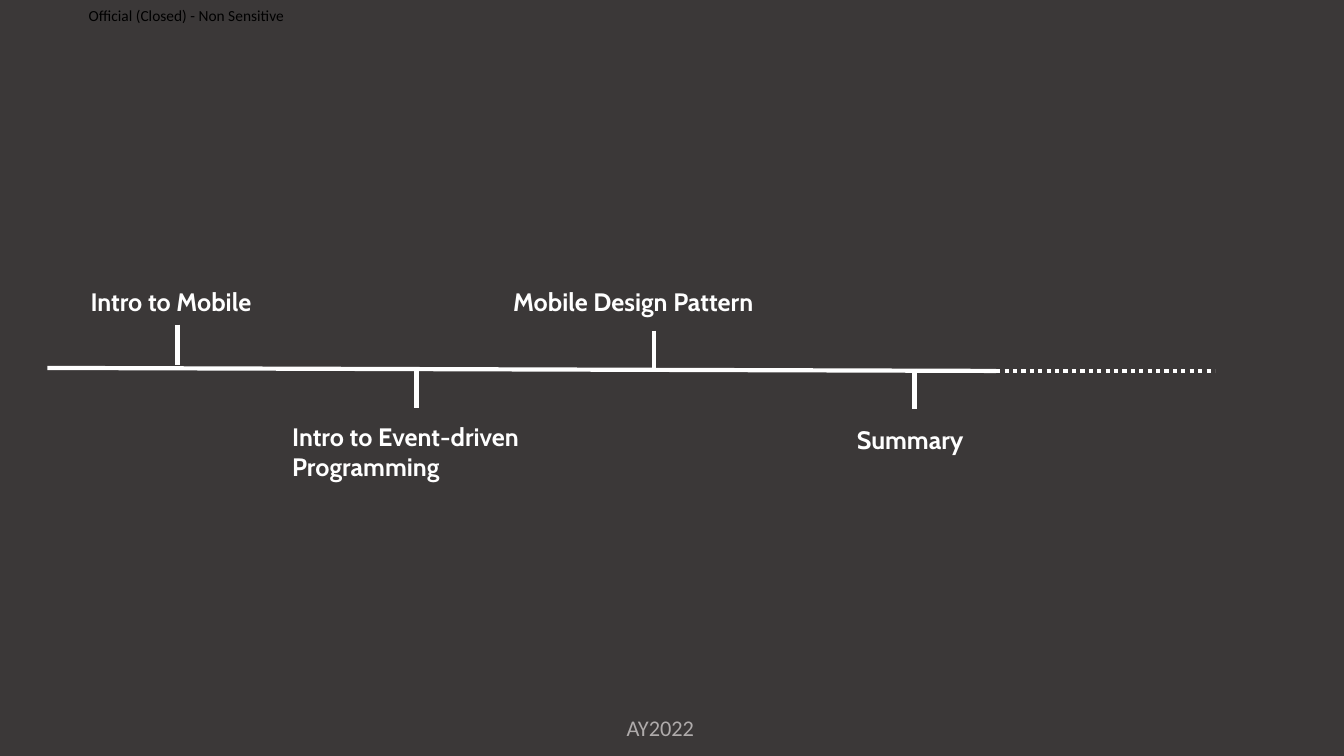
from pptx import Presentation
from pptx.dml.color import RGBColor
from pptx.enum.dml import MSO_LINE
from pptx.enum.shapes import MSO_CONNECTOR
from pptx.enum.text import MSO_ANCHOR, PP_ALIGN
from pptx.oxml.ns import qn
from pptx.util import Inches, Pt
from lxml import etree

DARK = RGBColor(0x3B, 0x38, 0x38)
WHITE = RGBColor(0xFF, 0xFF, 0xFF)
BLACK = RGBColor(0x00, 0x00, 0x00)
GRAY = RGBColor(0xAF, 0xAB, 0xAB)

STRAIGHT = MSO_CONNECTOR.STRAIGHT
DOTTED = MSO_LINE.ROUND_DOT
LEFT, CENTER = PP_ALIGN.LEFT, PP_ALIGN.CENTER
MIDDLE = MSO_ANCHOR.MIDDLE

TICK = 0.4

# label, (left, top, width, height), tick x, tick top
MILESTONES = [
    ("Intro to Mobile", (0.8, 2.79, 2.14, 0.4), 1.76, 3.22),
    ("Intro to Event-driven Programming", (2.8, 4.13, 2.67, 0.71), 4.13, 3.65),
    ("Mobile Design Pattern", (4.99, 2.79, 2.99, 0.4), 6.49, 3.28),
    ("Summary", (8.4, 4.16, 1.34, 0.4), 9.07, 3.66),
]


def add_text(slide, text, box, size, font, color, bold=False, align=LEFT):
    """Add a one-paragraph text box and return its text frame."""
    sp = slide.shapes.add_textbox(*map(Inches, box))
    tf = sp.text_frame
    tf.word_wrap = True
    tf.text = text
    p = tf.paragraphs[0]
    p.alignment = align
    r = p.runs[0]
    r.font.size = Pt(size)
    r.font.name = font
    r.font.bold = bold
    r.font.color.rgb = color
    return tf


def add_line(slide, start, end, dash=None):
    """Add a white line between two points."""
    line = slide.shapes.add_connector(STRAIGHT, *map(Inches, start + end))
    line.line.color.rgb = WHITE
    line.line.width = Pt(3)
    if dash is not None:
        line.line.dash_style = dash
    etree.SubElement(line._element.spPr, qn("a:effectLst"))


def add_milestone(slide, label, box, x, top):
    """Add a milestone label with its tick on the timeline."""
    add_line(slide, (x, top), (x, top + TICK))
    add_text(slide, label, box, 18, "Cabin", WHITE, bold=True)


def add_header(slide, text):
    """Add the classification marking at the top edge."""
    tf = add_text(slide, text, (0.88, 0, 2.13, 0.31), 11, "Calibri", BLACK)
    tf.margin_left = tf.margin_right = tf.margin_top = tf.margin_bottom = 0
    tf.vertical_anchor = MIDDLE


def main():
    """Build the timeline slide."""
    prs = Presentation()
    prs.slide_width = Inches(13.33)
    prs.slide_height = Inches(7.5)
    slide = prs.slides.add_slide(prs.slide_layouts[6])
    fill = slide.background.fill
    fill.solid()
    fill.fore_color.rgb = DARK

    add_text(slide, "AY2022", (6.11, 7.04, 0.88, 0.37), 16, "Calibri", GRAY,
             align=CENTER)
    add_header(slide, "Official (Closed) - Non Sensitive")

    add_line(slide, (0.47, 3.65), (9.88, 3.68))
    add_line(slide, (9.88, 3.68), (12.05, 3.68), DOTTED)
    for milestone in MILESTONES:
        add_milestone(slide, *milestone)

    prs.save("out.pptx")


main()
